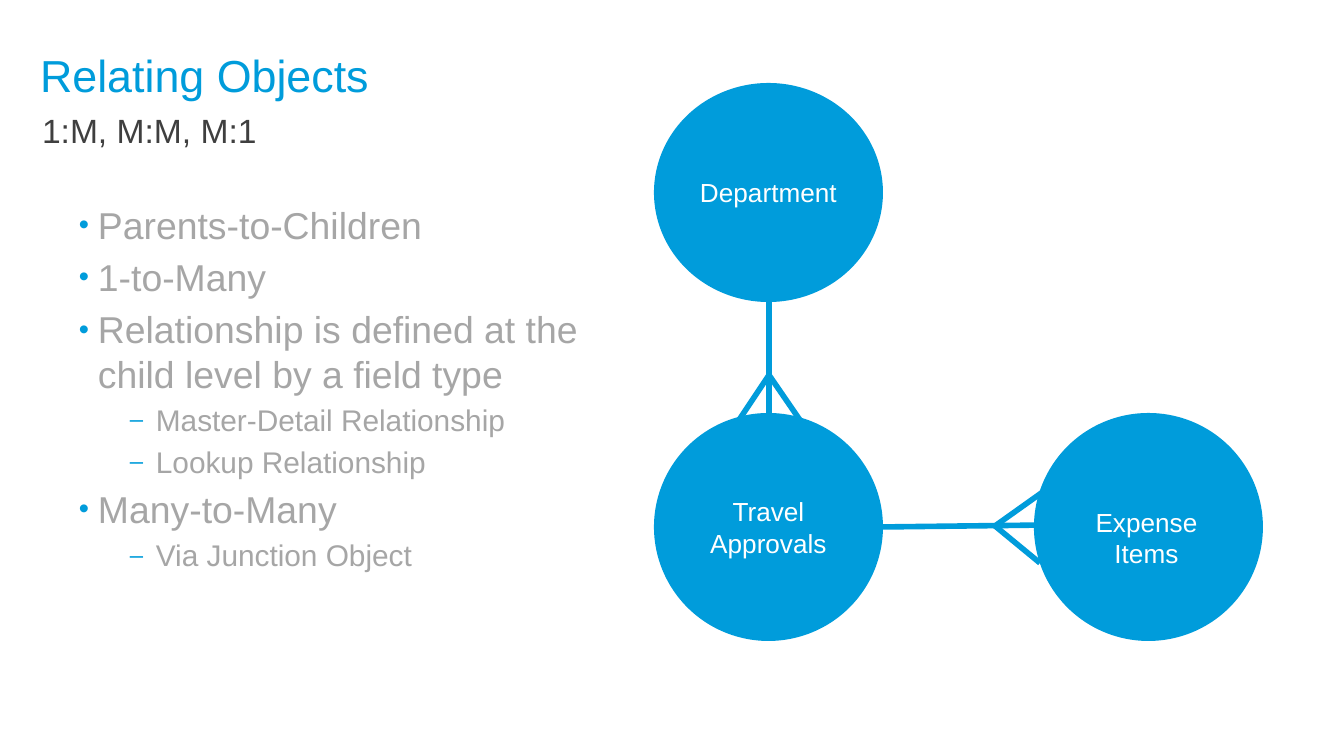
"""Builds a slide on one-to-many and many-to-many object relations."""
from dataclasses import dataclass

from lxml.etree import SubElement
from pptx import Presentation
from pptx.dml.color import RGBColor
from pptx.enum.shapes import MSO_CONNECTOR, MSO_SHAPE
from pptx.enum.text import MSO_ANCHOR, MSO_AUTO_SIZE, PP_ALIGN
from pptx.oxml.ns import qn
from pptx.util import Pt

SCALE = 914400 / 134.4


@dataclass(frozen=True)
class Theme:
    font: str = "Arial"
    blue: str = "009CDB"
    dark: str = "3F3F3F"
    gray: str = "A6A6A6"
    white: str = "FFFFFF"
    title: int = 24
    lead: int = 18
    items: tuple = (20, 16)
    label: int = 14
    line: int = 3


@dataclass(frozen=True)
class Bullet:
    mark: str
    left: int
    hang: int
    size: int
    gap: int


THEME = Theme()
BULLETS = (Bullet("•", 19, 19, 78, 4), Bullet("–", 77, 26, 80, 3))
POINTS = (
    ("Parents-to-Children", 0),
    ("1-to-Many", 0),
    ("Relationship is defined at the child level by a field type", 0),
    ("Master-Detail Relationship", 1),
    ("Lookup Relationship", 1),
    ("Many-to-Many", 0),
    ("Via Junction Object", 1),
)
NODES = (
    ((654, 83, 229, 219), "Department"),
    ((654, 413, 229, 228), "Travel\nApprovals"),
    ((1034, 413, 229, 228), ""),
)
LINKS = (
    ((883, 527), (1051, 525)),
    ((769, 302), (769, 413)),
    ((769, 375), (737, 423)),
    ((769, 375), (802, 423)),
    ((1054, 484), (995, 526)),
    ((1040, 563), (995, 526)),
)


def px(*nums):
    return [round(num * SCALE) for num in nums]


def rgb(code):
    return RGBColor.from_string(code)


def mark(para, level):
    style = BULLETS[level]
    props = para._p.get_or_add_pPr()
    left, hang = px(style.left, style.hang)
    props.set("marL", str(left))
    props.set("indent", str(-hang))
    tint = SubElement(props, qn("a:buClr"))
    SubElement(tint, qn("a:srgbClr"), val=THEME.blue)
    SubElement(props, qn("a:buSzPct"), val=str(style.size * 1000))
    SubElement(props, qn("a:buFont"), typeface=THEME.font)
    SubElement(props, qn("a:buChar"), char=style.mark)


def write(para, text, *, size, color, align=PP_ALIGN.LEFT, space=0, lead=None):
    para.alignment = align
    if space:
        para.space_before = Pt(space)
    if lead:
        para.line_spacing = lead
    run = para.add_run()
    run.text = text
    run.font.name = THEME.font
    run.font.size = Pt(size)
    run.font.color.rgb = rgb(color)


def setup(frame, anchor=MSO_ANCHOR.TOP, pad=(0, 0)):
    frame.word_wrap = True
    frame.auto_size = MSO_AUTO_SIZE.NONE
    frame.vertical_anchor = anchor
    frame.margin_left = frame.margin_right = px(pad[0])[0]
    frame.margin_top = frame.margin_bottom = px(pad[1])[0]
    return frame


def paras(frame, rows):
    for num, row in enumerate(rows):
        yield (frame.add_paragraph() if num else frame.paragraphs[0]), row


def box(slide, area, pad=(0, 0)):
    return setup(slide.shapes.add_textbox(*px(*area)).text_frame, pad=pad)


def head(slide, text):
    shape = slide.shapes.title
    shape.left, shape.top, shape.width, shape.height = px(40, 0, 1265, 101)
    frame = setup(shape.text_frame, MSO_ANCHOR.BOTTOM)
    write(frame.paragraphs[0], text, size=THEME.title, color=THEME.blue, lead=0.8)


def outline(slide, area, points):
    frame = box(slide, area)
    for num, (para, (text, level)) in enumerate(paras(frame, points)):
        para.level = level
        mark(para, level)
        write(para, text, size=THEME.items[level], color=THEME.gray,
              space=BULLETS[level].gap if num else 0)


def label(frame, text):
    for para, row in paras(frame, text.split("\n")):
        write(para, row, size=THEME.label, color=THEME.white, align=PP_ALIGN.CENTER)


def node(slide, area, text):
    shape = slide.shapes.add_shape(MSO_SHAPE.OVAL, *px(*area))
    shape.shadow.inherit = False
    shape.fill.solid()
    shape.fill.fore_color.rgb = rgb(THEME.blue)
    shape.line.fill.background()
    if text:
        label(setup(shape.text_frame, MSO_ANCHOR.MIDDLE, (10, 5)), text)


def link(slide, start, end):
    line = slide.shapes.add_connector(MSO_CONNECTOR.STRAIGHT, *px(*start, *end))
    line.line.color.rgb = rgb(THEME.blue)
    line.line.width = Pt(THEME.line)
    SubElement(line._element.spPr, qn("a:effectLst"))


def main():
    deck = Presentation()
    deck.slide_width, deck.slide_height = px(1344, 756)
    slide = deck.slides.add_slide(deck.slide_layouts[5])
    head(slide, "Relating Objects")
    lead = box(slide, (42, 110, 1265, 70))
    write(lead.paragraphs[0], "1:M, M:M, M:1", size=THEME.lead, color=THEME.dark)
    outline(slide, (79, 202, 534, 487), POINTS)
    for area, text in NODES:
        node(slide, area, text)
    label(box(slide, (1051, 501, 191, 47), (10, 5)), "Expense Items")
    for start, end in LINKS:
        link(slide, start, end)
    deck.save("out.pptx")


if __name__ == "__main__":
    main()
